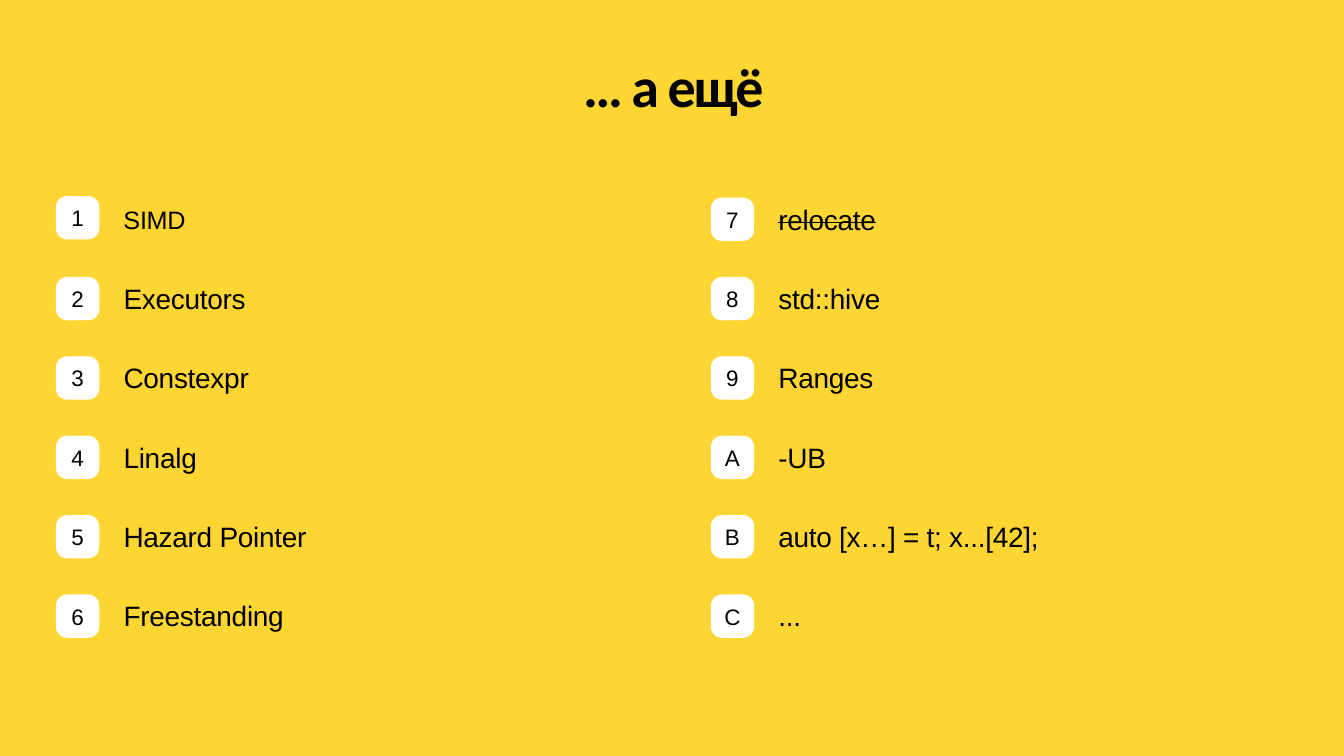
"""Builds a slide listing twelve numbered topics in two columns."""
from dataclasses import dataclass

from pptx import Presentation
from pptx.dml.color import RGBColor
from pptx.enum import shapes, text
from pptx.util import Inches, Pt


@dataclass(frozen=True)
class Theme:
    """Colours, fonts and type sizes of the slide."""
    background: RGBColor = RGBColor(0xFE, 0xD6, 0x34)
    badge: RGBColor = RGBColor(0xFF, 0xFF, 0xFF)
    ink: RGBColor = RGBColor(0, 0, 0)
    heading_font: str = "Calibri"
    body_font: str = "Arial"
    heading_size: int = 80
    badge_size: int = 32
    topic_size: int = 40
    small_topic_size: int = 36
    topic_leading: int = 40


@dataclass(frozen=True)
class Topic:
    """One numbered entry and its departures from the common style."""
    label: str
    size: int = Theme.topic_size
    struck: bool = False
    width: float = 8.51
    lift: float = 0


THEME = Theme()
COLUMN_LEFTS = (1.11, 14.1)
FIRST_ROW, ROW_STEP = 3.92, 1.575
BADGE_SIDE = 0.86
TOPIC_INDENT, TOPIC_DROP, TOPIC_HEIGHT = 1.34, 0.2, 0.56
KEYS = "123456789ABC"
TOPICS = (
    Topic("SIMD", size=THEME.small_topic_size, width=8.1, lift=0.03),
    Topic("Executors"),
    Topic("Constexpr"),
    Topic("Linalg"),
    Topic("Hazard Pointer"),
    Topic("Freestanding"),
    Topic("relocate", struck=True),
    Topic("std::hive"),
    Topic("Ranges"),
    Topic("-UB"),
    Topic("auto [x…] = t; x...[42];"),
    Topic("..."),
)


def add_run(paragraph, words, font, size, tracking, bold=False, struck=False):
    """Add a styled run, with tracking given in points."""
    run = paragraph.add_run()
    run.text = words
    run.font.name = font
    run.font.size = Pt(size)
    run.font.bold = bold
    run.font.color.rgb = THEME.ink
    properties = run.font._element
    properties.set("spc", str(round(tracking * 100)))
    if struck:
        properties.set("strike", "sngStrike")


def add_text_box(parent, left, top, width, height, top_inset=0):
    """Add a wrapping text box and return its frame."""
    frame = parent.add_textbox(
        Inches(left), Inches(top), Inches(width), Inches(height)).text_frame
    frame.word_wrap = True
    frame.margin_left = frame.margin_right = frame.margin_bottom = 0
    frame.margin_top = Inches(top_inset)
    return frame


def add_heading(slide, words):
    """Add the centred heading."""
    frame = add_text_box(slide.shapes, 1.11, 1.05, 24.49, 1.31, top_inset=0.22)
    paragraph = frame.paragraphs[0]
    paragraph.alignment = text.PP_ALIGN.CENTER
    paragraph.line_spacing = 0.8
    add_run(paragraph, words, THEME.heading_font, THEME.heading_size, -3, bold=True)


def add_badge(parent, key, left, top):
    """Add the rounded white tile that holds a topic's key."""
    badge = parent.add_shape(
        shapes.MSO_SHAPE.ROUNDED_RECTANGLE,
        Inches(left), Inches(top), Inches(BADGE_SIDE), Inches(BADGE_SIDE))
    badge.adjustments[0] = 0.258
    badge.shadow.inherit = False
    badge.fill.solid()
    badge.fill.fore_color.rgb = THEME.badge
    badge.line.fill.background()
    badge.text_frame.vertical_anchor = text.MSO_ANCHOR.MIDDLE
    paragraph = badge.text_frame.paragraphs[0]
    paragraph.alignment = text.PP_ALIGN.CENTER
    add_run(paragraph, key, THEME.body_font, THEME.badge_size, -0.3)


def add_topic(slide, key, topic, left, top):
    """Add a badge and its label as one group."""
    entry = slide.shapes.add_group_shape().shapes
    add_badge(entry, key, left, top)
    label = add_text_box(
        entry, left + TOPIC_INDENT, top + TOPIC_DROP, topic.width, TOPIC_HEIGHT)
    label.auto_size = text.MSO_AUTO_SIZE.SHAPE_TO_FIT_TEXT
    paragraph = label.paragraphs[0]
    paragraph.line_spacing = Pt(THEME.topic_leading)
    add_run(paragraph, topic.label, THEME.body_font, topic.size, -0.4,
            struck=topic.struck)


def main():
    """Build and save the slide."""
    deck = Presentation()
    deck.slide_width, deck.slide_height = Inches(26.66), Inches(15)
    slide = deck.slides.add_slide(deck.slide_layouts[6])
    slide.background.fill.solid()
    slide.background.fill.fore_color.rgb = THEME.background
    add_heading(slide, "… а ещё")
    rows = len(TOPICS) // len(COLUMN_LEFTS)
    for index, (key, topic) in enumerate(zip(KEYS, TOPICS)):
        column, row = divmod(index, rows)
        top = FIRST_ROW + row * ROW_STEP - topic.lift
        add_topic(slide, key, topic, COLUMN_LEFTS[column], top)
    deck.save("out.pptx")


if __name__ == "__main__":
    main()
